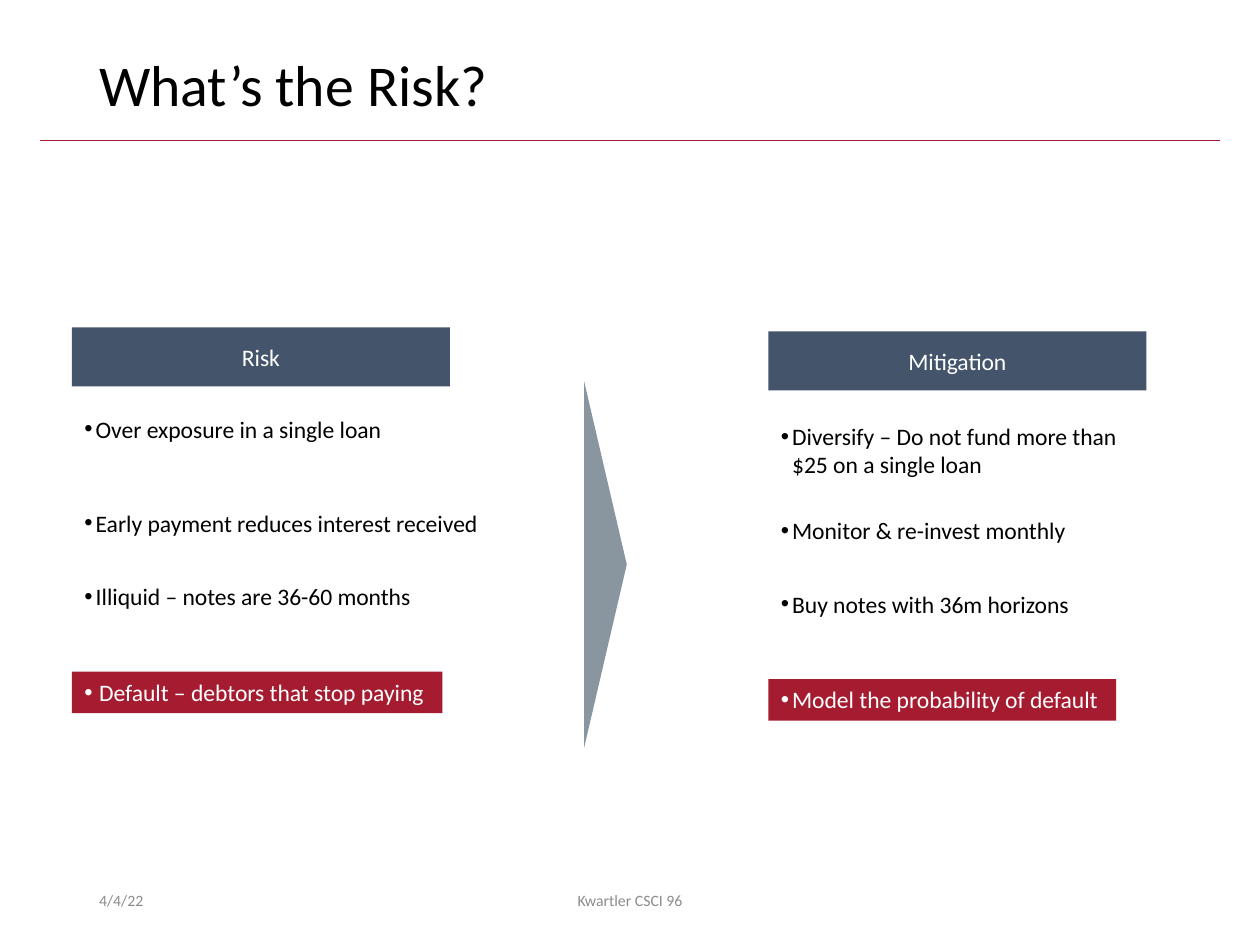
import dataclasses

import pptx
import pptx.dml.color
import pptx.enum.shapes
import pptx.enum.text
import pptx.oxml
import pptx.oxml.ns
import pptx.util

Cm = pptx.util.Cm
ALIGN = pptx.enum.text.PP_ALIGN
ANCHOR = pptx.enum.text.MSO_ANCHOR
AUTO_SIZE = pptx.enum.text.MSO_AUTO_SIZE
SHAPE = pptx.enum.shapes.MSO_SHAPE


@dataclasses.dataclass(frozen=True)
class Theme:
    font: str = "Calibri"
    title_size: float = 33
    body_size: float = 13.5
    footer_size: float = 9
    black: str = "000000"
    white: str = "FFFFFF"
    grey: str = "8C8C8C"
    slate: str = "44546A"
    crimson: str = "A51C30"
    arrow: str = "8996A0"


THEME = Theme()
ROW_TOPS = (8.23, 10.13, 11.61, 13.54)
LINE_HEIGHT = 0.84

# Each column: left, header top, shift of its rows, header, then
# (text, width, hanging indent) per row; the last row is highlighted.
COLUMNS = (
    (1.45, 6.6, 0, "Risk", (
        ("Over exposure in a single loan", 6.6, 0.23),
        ("Early payment reduces interest received", 8.59, 0.23),
        ("Illiquid – notes are 36-60 months", 7.19, 0.23),
        ("Default – debtors that stop paying", 7.47, 0.3),
    )),
    (15.49, 6.68, 0.15, "Mitigation", (
        ("Diversify – Do not fund more than $25 on a single loan", 7.65, 0.23),
        ("Monitor & re-invest monthly", 6.35, 0.23),
        ("Buy notes with 36m horizons", 6.4, 0.23),
        ("Model the probability of default", 7.01, 0.23),
    )),
)
WRAPPED_HEIGHTS = {COLUMNS[1][4][0][0]: 1.42}


def rgb(color):
    return pptx.dml.color.RGBColor.from_string(color)


def add_block(slide, kind, left, top, width, height, fill):
    """Add a preset shape with a flat fill, no outline and no shadow."""
    sp = slide.shapes.add_shape(kind, Cm(left), Cm(top), Cm(width), Cm(height))
    sp.shadow.inherit = False
    sp.fill.solid()
    sp.fill.fore_color.rgb = rgb(fill)
    sp.line.fill.background()
    return sp


def write(sp, text, size, color, align=ALIGN.LEFT, anchor=ANCHOR.TOP):
    tf = sp.text_frame
    tf.word_wrap = True
    tf.vertical_anchor = anchor
    tf.text = text
    p = tf.paragraphs[0]
    p.alignment = align
    font = p.runs[0].font
    font.name = THEME.font
    font.size = pptx.util.Pt(size)
    font.color.rgb = rgb(color)
    return p


def add_text(slide, left, top, width, height, *args, **kwargs):
    sp = slide.shapes.add_textbox(Cm(left), Cm(top), Cm(width), Cm(height))
    return write(sp, *args, **kwargs)


def set_bullet(p, indent):
    pPr = p._p.get_or_add_pPr()
    pPr.set("marL", str(Cm(indent)))
    pPr.set("indent", str(-Cm(indent)))
    ns = pptx.oxml.ns.nsdecls("a")
    pPr.append(pptx.oxml.parse_xml(f'<a:buFont {ns} typeface="Arial"/>'))
    pPr.append(pptx.oxml.parse_xml(f'<a:buChar {ns} char="•"/>'))


def add_bullet(slide, left, top, text, width, indent, highlighted):
    height = WRAPPED_HEIGHTS.get(text, LINE_HEIGHT)
    if highlighted:
        sp = add_block(slide, SHAPE.RECTANGLE, left, top, width, height,
                       THEME.crimson)
    else:
        sp = slide.shapes.add_textbox(Cm(left), Cm(top), Cm(width), Cm(height))
    color = THEME.white if highlighted else THEME.black
    set_bullet(write(sp, text, THEME.body_size, color), indent)
    sp.text_frame.word_wrap = text in WRAPPED_HEIGHTS
    sp.text_frame.auto_size = AUTO_SIZE.SHAPE_TO_FIT_TEXT


def add_column(slide, left, header_top, shift, header, rows):
    sp = add_block(slide, SHAPE.RECTANGLE, left, header_top, 7.62, 1.19,
                   THEME.slate)
    write(sp, header, THEME.body_size, THEME.white, ALIGN.CENTER, ANCHOR.MIDDLE)
    for top, row in zip(ROW_TOPS, rows):
        add_bullet(slide, left, top + shift, *row, highlighted=row is rows[-1])


def add_rule(slide, left, right, y):
    line = slide.shapes.add_connector(
        pptx.enum.shapes.MSO_CONNECTOR.STRAIGHT,
        Cm(left), Cm(y), Cm(right), Cm(y))
    line.line.color.rgb = rgb(THEME.crimson)
    line.line.width = pptx.util.Pt(0.5)
    ns = pptx.oxml.ns.nsdecls("a")
    line._element.spPr.append(pptx.oxml.parse_xml(f"<a:effectLst {ns}/>"))


def add_footer(slide, left, width, text, align):
    add_text(slide, left, 17.65, width, 1.01, text, THEME.footer_size,
             THEME.grey, align, ANCHOR.MIDDLE)


def main():
    prs = pptx.Presentation()
    prs.slide_width, prs.slide_height = Cm(25.4), Cm(19.05)
    slide = prs.slides.add_slide(prs.slide_layouts[6])

    add_rule(slide, 0.81, 24.59, 2.84)
    title = add_text(slide, 1.75, 1.02, 21.9, 1.65, "What’s the Risk?",
                     THEME.title_size, THEME.black)
    title.line_spacing = 0.9

    for column in COLUMNS:
        add_column(slide, *column)
    arrow = add_block(slide, SHAPE.ISOSCELES_TRIANGLE, 8.51, 10.95, 7.39, 0.86,
                      THEME.arrow)
    arrow.rotation = 90

    add_footer(slide, 1.75, 5.72, "4/4/22", ALIGN.LEFT)
    add_footer(slide, 8.41, 8.58, "Kwartler CSCI 96", ALIGN.CENTER)
    prs.save("out.pptx")


if __name__ == "__main__":
    main()
